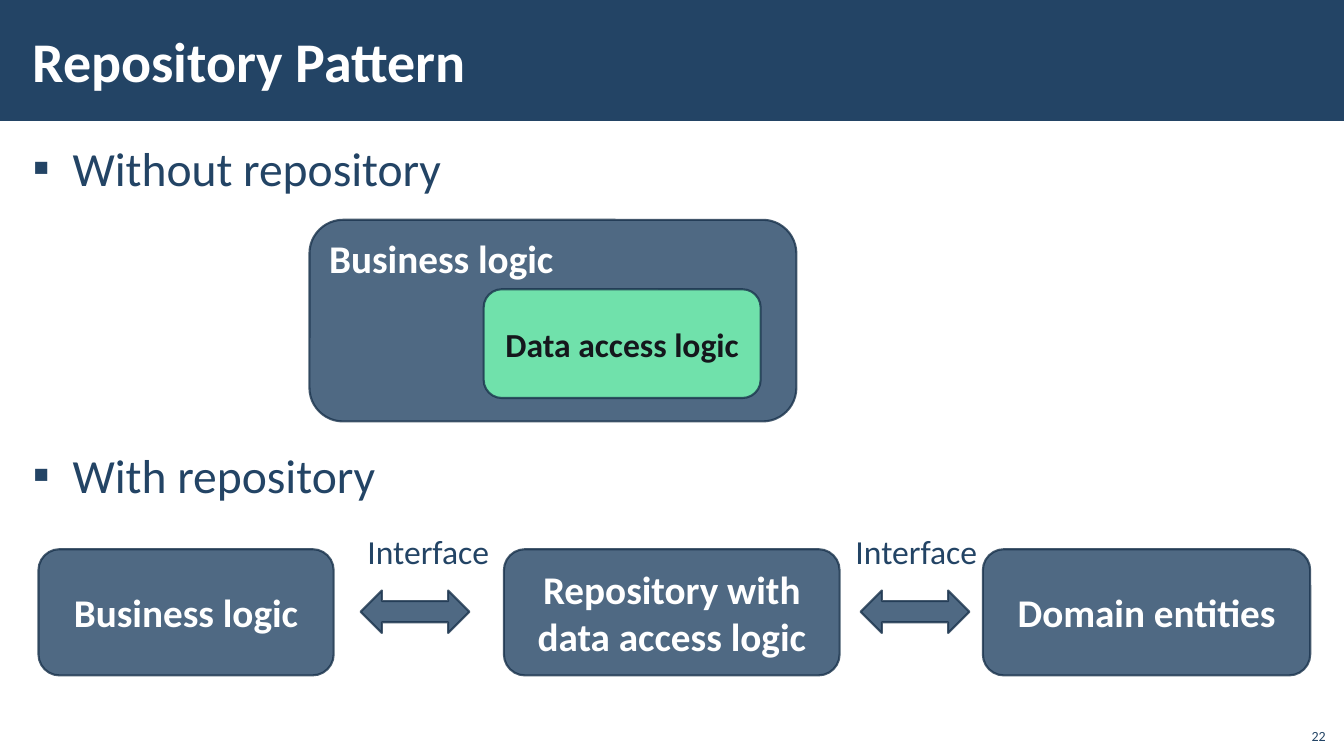
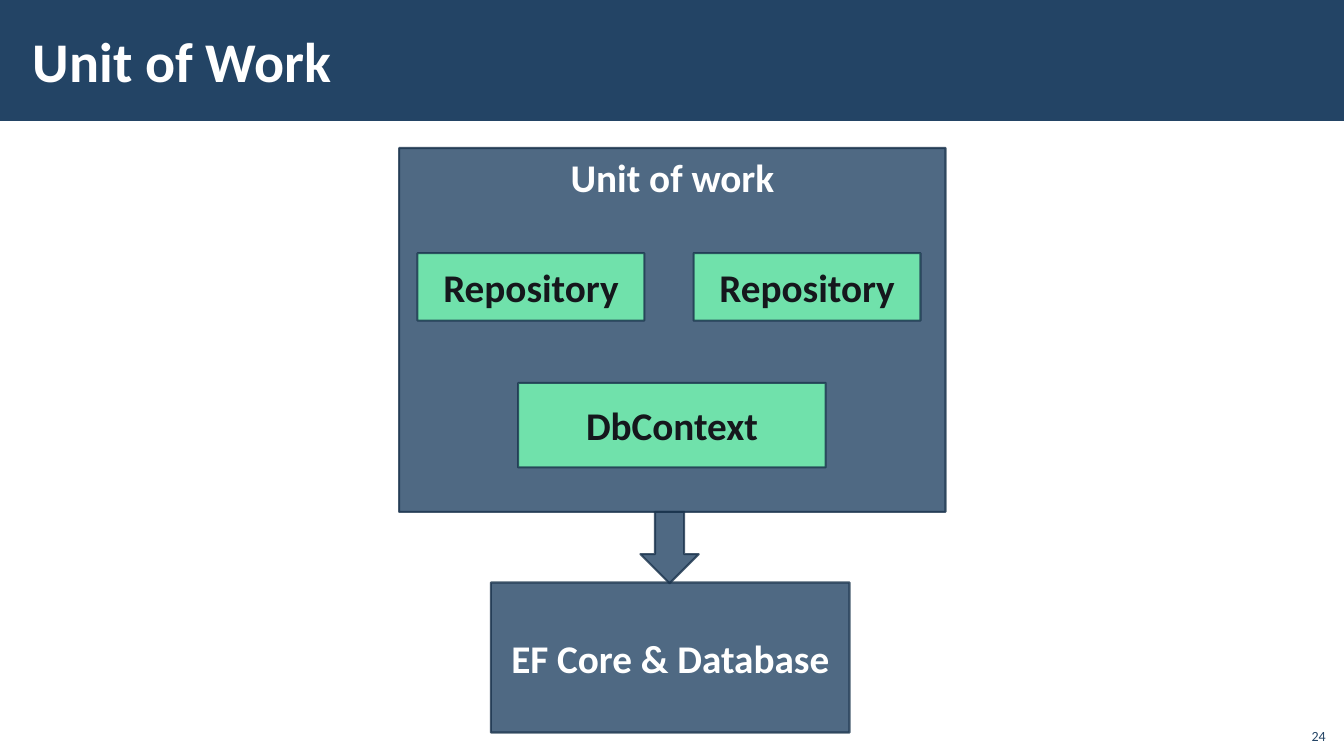
from lxml.etree import SubElement
from pptx import Presentation
from pptx.dml.color import RGBColor
from pptx.enum.shapes import MSO_SHAPE
from pptx.enum.text import MSO_ANCHOR, PP_ALIGN
from pptx.oxml.ns import qn
from pptx.util import Cm, Pt

FONT = "Calibri"
NAVY, OUTLINE, GREEN = "234465", "1A334C", "79FFB6"
WHITE, INK = "FFFFFF", "15171C"
PAGE_WIDTH, PAGE_HEIGHT, BAND_HEIGHT = 33.87, 19.05, 3.05


def colour(value):
    return RGBColor.from_string(value)


def inside(box, left, top, width, height):
    """Turn a place relative to a box into a place on the page."""
    return box[0] + left, box[1] + top, width, height


def write(shape, text, size, ink, bold=False, align=PP_ALIGN.LEFT,
          anchor=MSO_ANCHOR.TOP, insets=(0.25, 0.13)):
    frame = shape.text_frame
    frame.word_wrap = True
    frame.vertical_anchor = anchor
    frame.margin_left = frame.margin_right = Cm(insets[0])
    frame.margin_top = frame.margin_bottom = Cm(insets[1])
    para = frame.paragraphs[0]
    para.text = text
    para.alignment = align
    para.font.name = FONT
    para.font.size = Pt(size)
    para.font.bold = bold
    para.font.color.rgb = colour(ink)
    return para


def add_text(page, box, text, size, ink, **style):
    shape = page.shapes.add_textbox(*map(Cm, box))
    return write(shape, text, size, ink, **style)


def add_block(page, kind, box, fill=NAVY):
    """Add a preset shape with translucent fill and outline."""
    shape = page.shapes.add_shape(kind, *map(Cm, box))
    shape.shadow.inherit = False
    shape.fill.solid()
    shape.fill.fore_color.rgb = colour(fill)
    shape.line.color.rgb = colour(OUTLINE)
    shape.line.width = Pt(1.5)
    for tint in shape.element.spPr.iter(qn("a:srgbClr")):
        SubElement(tint, qn("a:alpha"), val="80000")
    return shape


def add_label_block(page, kind, box, text, fill=NAVY, size=28,
                    align=PP_ALIGN.CENTER, anchor=MSO_ANCHOR.MIDDLE):
    ink = INK if fill == GREEN else WHITE
    write(add_block(page, kind, box, fill), text, size, ink, bold=True,
          align=align, anchor=anchor)


def add_bullet(page, box, text):
    para = add_text(page, box, text, 34, NAVY, insets=(0.3, 0.1))
    para.line_spacing = 1.05
    para.space_before = para.space_after = Pt(6)
    properties = para.font._element.getparent()
    properties.set("marL", str(Cm(1)))
    properties.set("indent", str(-Cm(1)))
    # Bullet elements belong before the default run properties
    defaults = properties.find(qn("a:defRPr"))
    tint = SubElement(properties, qn("a:buClr"))
    SubElement(tint, qn("a:srgbClr"), val=NAVY)
    SubElement(properties, qn("a:buFont"), typeface=FONT)
    SubElement(properties, qn("a:buChar"), char="▪")
    properties.append(defaults)


def add_page(deck, title, number):
    """Add a page with title band and page number."""
    page = deck.slides.add_slide(deck.slide_layouts[6])
    band = page.shapes.add_shape(MSO_SHAPE.RECTANGLE, 0, 0,
                                 Cm(PAGE_WIDTH), Cm(BAND_HEIGHT))
    band.shadow.inherit = False
    band.fill.solid()
    band.fill.fore_color.rgb = colour(NAVY)
    band.line.fill.background()
    add_text(page, (0.53, 0.28, 27, 2.46), title, 40, WHITE, bold=True,
             anchor=MSO_ANCHOR.MIDDLE, insets=(0.3, 0.1))
    add_text(page, (32.64, 18.08, 1.02, 0.81), str(number), 10, NAVY,
             align=PP_ALIGN.RIGHT, anchor=MSO_ANCHOR.BOTTOM)
    return page


def add_nested_logic(page, box):
    """Data access logic buried in the business logic."""
    rounded = MSO_SHAPE.ROUNDED_RECTANGLE
    add_label_block(page, rounded, box, "Business logic",
                    align=PP_ALIGN.LEFT, anchor=MSO_ANCHOR.TOP)
    add_label_block(page, rounded, inside(box, 4.39, 1.75, 6.98, 2.74),
                    "Data access logic", GREEN, size=24)


def add_layer_row(page, box):
    """Three layers joined by interfaces."""
    layers = [("Business logic", 0, 7.44),
              ("Repository with data access logic", 11.73, 8.46),
              ("Domain entities", 23.8, 8.25)]
    for text, left, width in layers:
        add_label_block(page, MSO_SHAPE.ROUNDED_RECTANGLE,
                        inside(box, left, 0.86, width, 3.18), text)
    for arrow_left, label_left in [(8.12, 7.89), (20.72, 20.19)]:
        add_block(page, MSO_SHAPE.LEFT_RIGHT_ARROW,
                  inside(box, arrow_left, 1.9, 2.74, 1.07))
        label = add_text(page, inside(box, label_left, 0, 4.06, 1.68),
                         "Interface", 24, NAVY, insets=(0.4, 0.3))
        label.line_spacing = 1.1


def add_unit_of_work(page, box):
    """Repositories sharing one context."""
    square = MSO_SHAPE.RECTANGLE
    add_label_block(page, square, box, "Unit of work", anchor=MSO_ANCHOR.TOP)
    for left in (0.46, 7.42):
        add_label_block(page, square, inside(box, left, 2.65, 5.72, 1.7),
                        "Repository", GREEN)
    add_label_block(page, square, inside(box, 3, 5.92, 7.75, 2.13),
                    "DbContext", GREEN)


def add_database(page, box):
    """Database block with the arrow that enters it from above."""
    add_label_block(page, MSO_SHAPE.RECTANGLE, box, "EF Core & Database")
    add_block(page, MSO_SHAPE.DOWN_ARROW, inside(box, 3.77, -1.78, 1.47, 1.8))


def main():
    deck = Presentation()
    deck.slide_width, deck.slide_height = Cm(PAGE_WIDTH), Cm(PAGE_HEIGHT)

    # Repository pattern
    page = add_page(deck, "Repository Pattern", 22)
    for text, top in [("Without repository", 3.33), ("With repository", 11.07)]:
        add_bullet(page, (0.53, top, 32.82, 2), text)
    add_nested_logic(page, (7.8, 5.54, 12.27, 5.08))
    add_layer_row(page, (0.97, 12.98, 32.05, 4.04))

    # Unit of work
    page = add_page(deck, "Unit of Work", 24)
    add_unit_of_work(page, (10.06, 3.73, 13.77, 9.17))
    add_database(page, (12.37, 14.68, 9.04, 3.78))

    deck.save("out.pptx")


if __name__ == "__main__":
    main()
